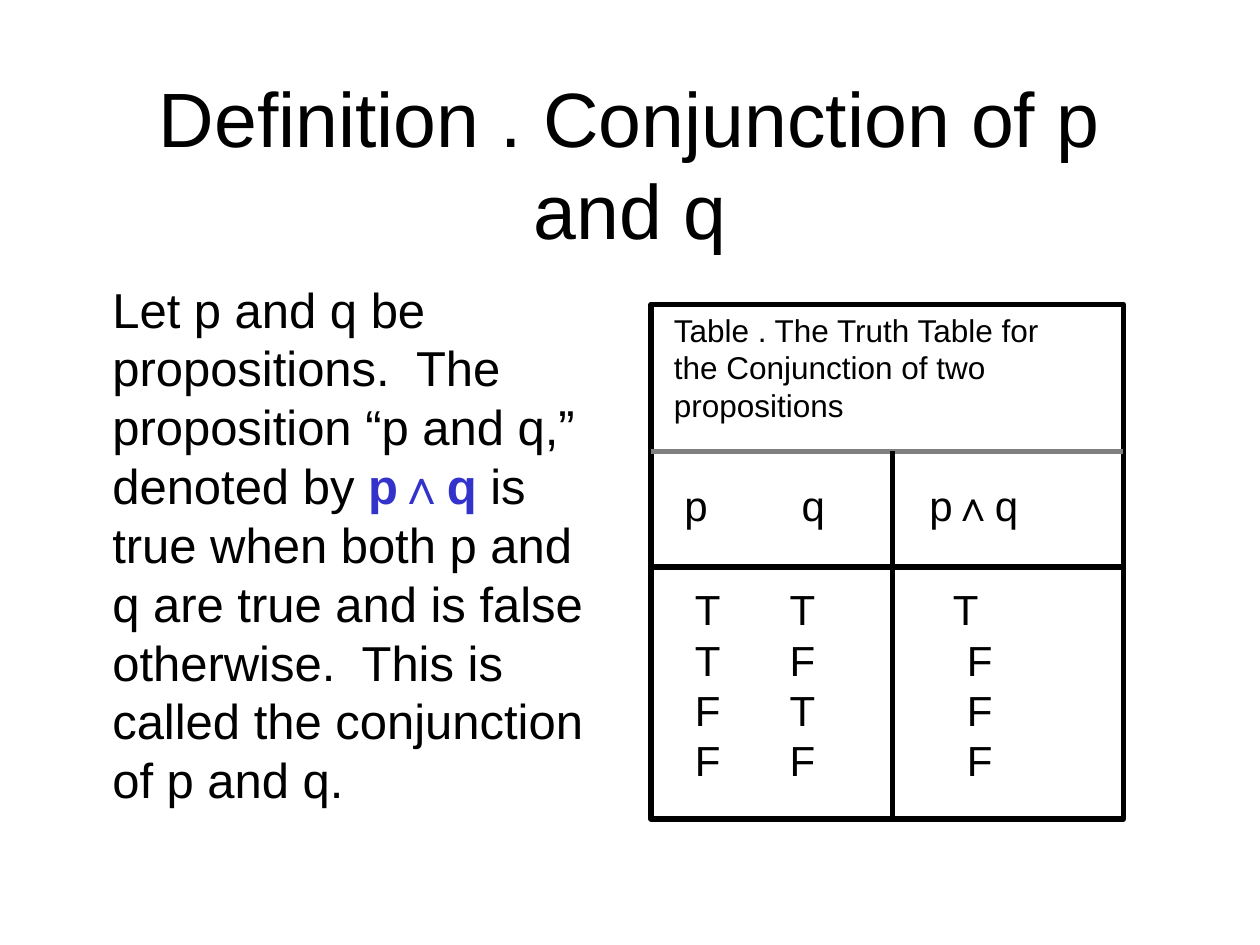
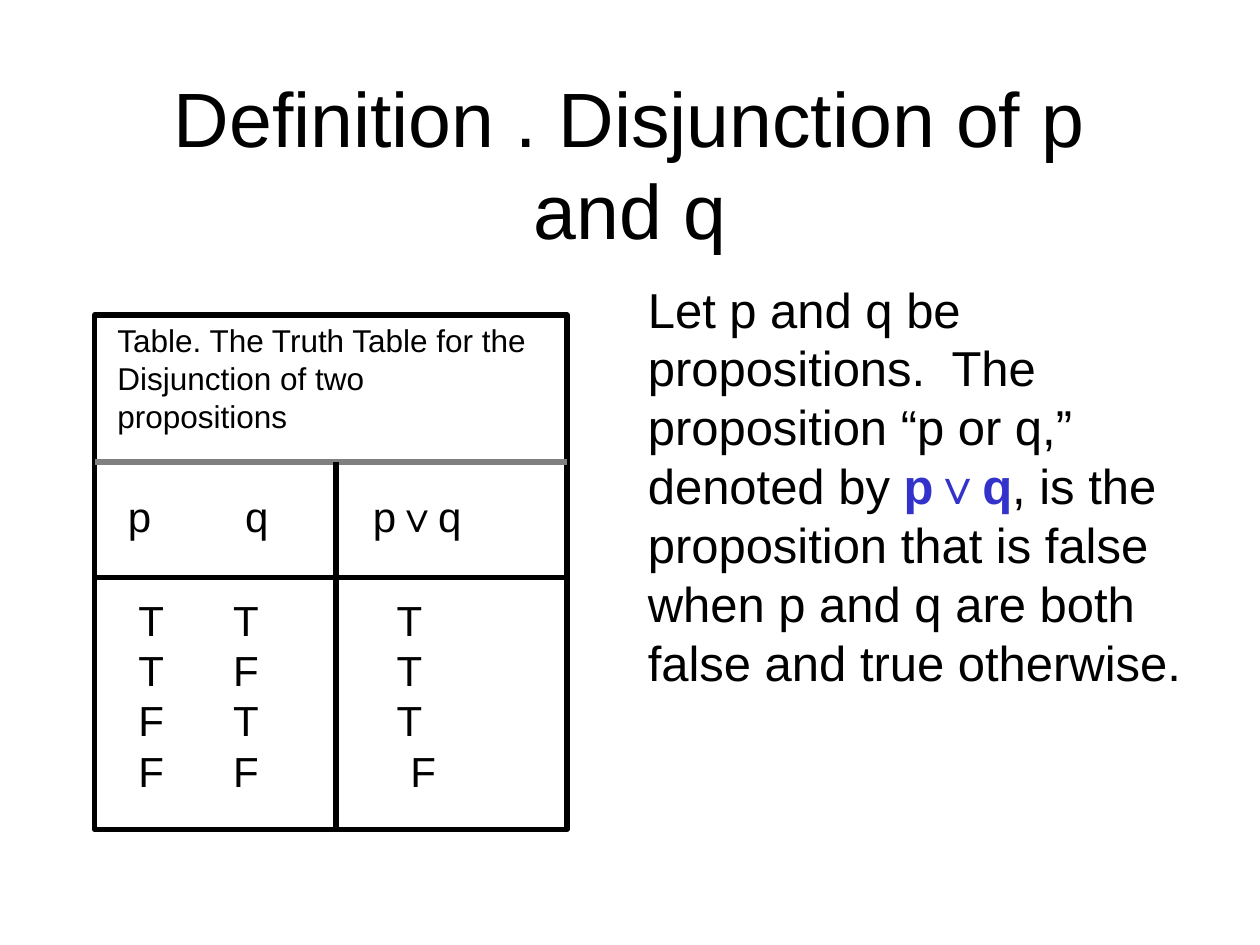
"""Build two slides that define conjunction and disjunction with truth tables."""
from dataclasses import dataclass

from lxml import etree
from pptx import Presentation
from pptx.dml.color import RGBColor
from pptx.enum.shapes import MSO_CONNECTOR, MSO_SHAPE
from pptx.enum.text import MSO_ANCHOR, PP_ALIGN
from pptx.oxml.ns import qn
from pptx.util import Pt

LEFT, CENTER = PP_ALIGN.LEFT, PP_ALIGN.CENTER
TOP, MIDDLE = MSO_ANCHOR.TOP, MSO_ANCHOR.MIDDLE
RECTANGLE = MSO_SHAPE.RECTANGLE
STRAIGHT = MSO_CONNECTOR.STRAIGHT
FONT = "Arial"
BLACK, WHITE, BLUE, GRAY = "000000", "FFFFFF", "3333CC", "808080"
BLANK_LAYOUT = 6

LINE_WIDTH = 3
TABLE_WIDTH, TABLE_HEIGHT = 270, 294
CAPTION_BOTTOM, HEADER_BOTTOM, RESULT_LEFT = 84, 150, 138
HEADER_TABS = (67, 140)
INPUTS = ("TT", "TF", "FT", "FF")
SECOND_INPUT_TAB = 54.2
RESULT_TABS = {"T": 147.5, "F": 155.4}


@dataclass(frozen=True)
class Definition:
    """Wording and placement of one slide."""

    title: str
    before: str
    operator: str
    after: str
    body_left: float
    body_width: float
    caption: str
    results: str
    table_left: float
    table_top: float
    bold_operator: bool


@dataclass(frozen=True)
class Rule:
    """A line inside the truth table, measured from its corner."""

    start: tuple[float, float]
    end: tuple[float, float]
    color: str = BLACK


RULES = (
    Rule((0, CAPTION_BOTTOM), (TABLE_WIDTH, CAPTION_BOTTOM), GRAY),
    Rule((RESULT_LEFT, CAPTION_BOTTOM), (RESULT_LEFT, TABLE_HEIGHT)),
    Rule((0, HEADER_BOTTOM), (TABLE_WIDTH, HEADER_BOTTOM)),
)

DEFINITIONS = (
    Definition(
        title="Definition . Conjunction of p and q",
        before="Let p and q be propositions.  The proposition “p and q,” denoted by ",
        operator="∧",
        after=" is true when both p and q are true and is false otherwise.  "
              "This is called the conjunction of p and q.",
        body_left=30, body_width=324,
        caption="Table . The Truth Table for the Conjunction of two propositions",
        results="TFFF", table_left=372, table_top=174, bold_operator=True,
    ),
    Definition(
        title="Definition . Disjunction of p and q",
        before="Let p and q be propositions.  The proposition “p or q,” denoted by ",
        operator="∨",
        after=", is the proposition that is false when p and q are both false "
              "and true otherwise.",
        body_left=336, body_width=354,
        caption="Table. The Truth Table for the Disjunction of two propositions",
        results="TTTF", table_left=54, table_top=180, bold_operator=False,
    ),
)


def rgb(color: str) -> RGBColor:
    """Turn a hex string into a colour."""
    return RGBColor.from_string(color)


def add_text(paragraph, text: str, *, size: float, color: str = BLACK,
             bold: bool = False, align=LEFT) -> None:
    """Append a formatted run to a paragraph."""
    paragraph.alignment = align
    run = paragraph.add_run()
    run.text = text
    run.font.name = FONT
    run.font.size = Pt(size)
    run.font.bold = bold
    run.font.color.rgb = rgb(color)


def add_text_box(slide, left: float, top: float, width: float, height: float,
                 *, anchor=TOP, indent: float = 7.2):
    """Add a wrapping text box and return its text frame."""
    shape = slide.shapes.add_textbox(Pt(left), Pt(top), Pt(width), Pt(height))
    frame = shape.text_frame
    frame.word_wrap = True
    frame.vertical_anchor = anchor
    frame.margin_left = Pt(indent)
    return frame


def set_tabs(paragraph, *positions: float) -> None:
    """Give a paragraph left tab stops."""
    properties = paragraph._p.get_or_add_pPr()
    stops = etree.SubElement(properties, qn("a:tabLst"))
    for position in positions:
        etree.SubElement(stops, qn("a:tab"), pos=str(Pt(position)), algn="l")


def add_grid(slide, left: float, top: float) -> None:
    """Draw the frame and the inner lines of the truth table."""
    frame = slide.shapes.add_shape(
        RECTANGLE, Pt(left), Pt(top), Pt(TABLE_WIDTH), Pt(TABLE_HEIGHT))
    frame.shadow.inherit = False
    frame.fill.solid()
    frame.fill.fore_color.rgb = rgb(WHITE)
    frame.line.color.rgb = rgb(BLACK)
    frame.line.width = Pt(LINE_WIDTH)
    for rule in RULES:
        (start_x, start_y), (end_x, end_y) = rule.start, rule.end
        connector = slide.shapes.add_connector(
            STRAIGHT, Pt(left + start_x), Pt(top + start_y),
            Pt(left + end_x), Pt(top + end_y))
        connector.line.color.rgb = rgb(rule.color)
        connector.line.width = Pt(LINE_WIDTH)
        etree.SubElement(connector._element.spPr, qn("a:effectLst"))


def add_truth_table(slide, definition: Definition) -> None:
    """Add the captioned truth table."""
    left, top = definition.table_left, definition.table_top
    add_grid(slide, left, top)

    caption = add_text_box(slide, left + 6, top, 252, 72)
    add_text(caption.paragraphs[0], definition.caption, size=18)

    header = add_text_box(slide, left + 12, top + 96.5, 222, 36).paragraphs[0]
    add_text(header, "p\tq\tp", size=24)
    add_text(header, definition.operator, size=24, bold=definition.bold_operator)
    add_text(header, "q", size=24)
    set_tabs(header, *HEADER_TABS)

    values = add_text_box(slide, left + 18, top + 156, 234, 122)
    for row, (inputs, result) in enumerate(zip(INPUTS, definition.results)):
        paragraph = values.add_paragraph() if row else values.paragraphs[0]
        add_text(paragraph, "\t".join(inputs + result), size=24)
        set_tabs(paragraph, SECOND_INPUT_TAB, RESULT_TABS[result])


def add_definition_slide(presentation, definition: Definition) -> None:
    """Add one slide with its title, definition and truth table."""
    slide = presentation.slides.add_slide(presentation.slide_layouts[BLANK_LAYOUT])
    title = add_text_box(slide, 54, 48, 612, 90, anchor=MIDDLE)
    add_text(title.paragraphs[0], definition.title, size=44, align=CENTER)
    body = add_text_box(slide, definition.body_left, 156,
                        definition.body_width, 324, indent=34.2).paragraphs[0]
    body.space_before = Pt(7)
    add_text(body, definition.before, size=28)
    add_text(body, f"p{definition.operator}q", size=28, color=BLUE, bold=True)
    add_text(body, definition.after, size=28)
    add_truth_table(slide, definition)


def main() -> None:
    """Build and save the presentation."""
    presentation = Presentation()
    presentation.slide_width, presentation.slide_height = Pt(720), Pt(540)
    for definition in DEFINITIONS:
        add_definition_slide(presentation, definition)
    presentation.save("out.pptx")


if __name__ == "__main__":
    main()
